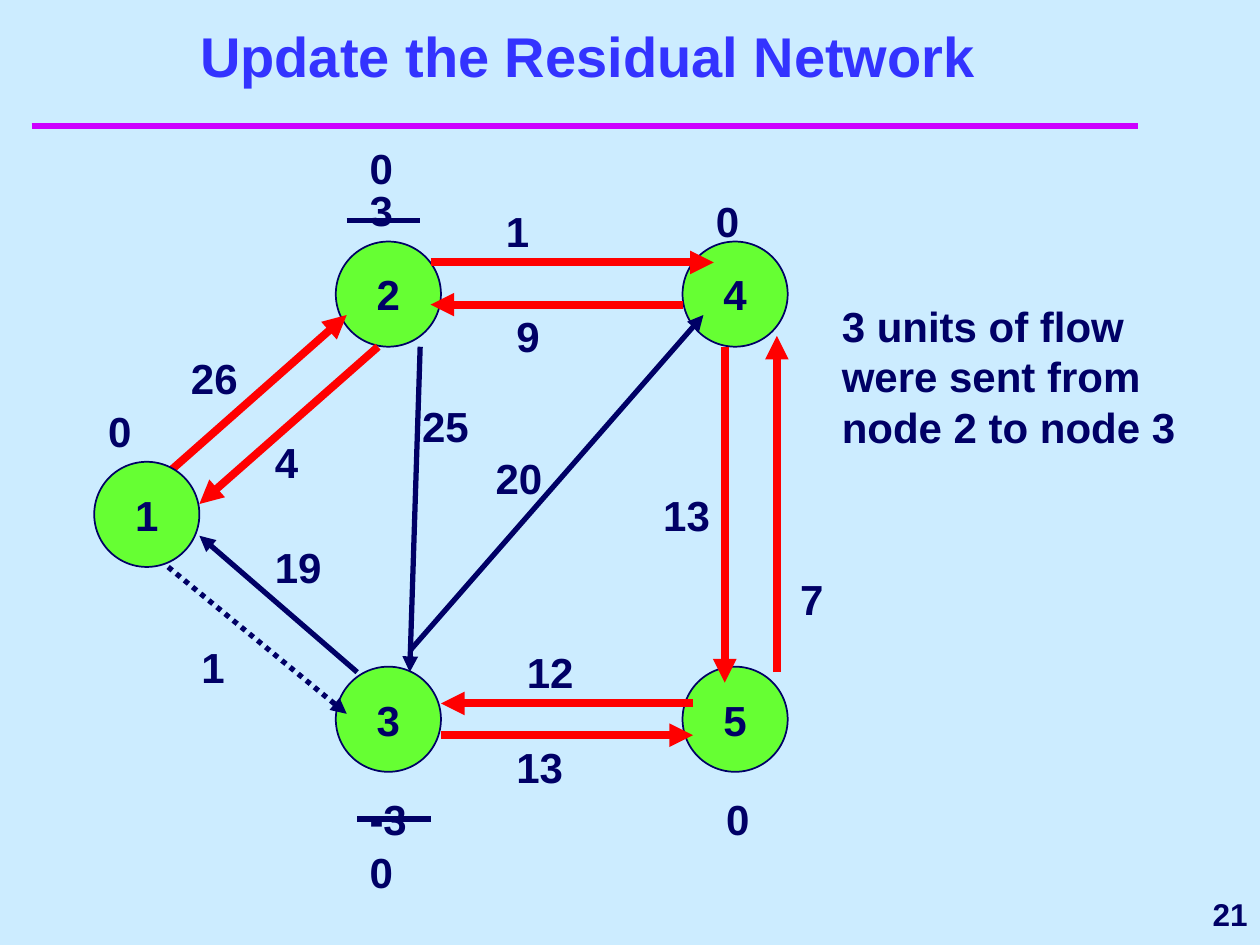
from lxml.etree import SubElement
from pptx import Presentation
from pptx.dml.color import RGBColor
from pptx.enum.dml import MSO_LINE
from pptx.enum.shapes import MSO_CONNECTOR, MSO_SHAPE
from pptx.enum.text import MSO_ANCHOR, PP_ALIGN
from pptx.oxml.ns import qn
from pptx.util import Cm, Pt

SKY = RGBColor(0xCC, 0xEC, 0xFF)
NAVY = RGBColor(0x00, 0x00, 0x66)
BLUE = RGBColor(0x33, 0x33, 0xFF)
PURPLE = RGBColor(0xCC, 0x00, 0xFF)
GREEN = RGBColor(0x66, 0xFF, 0x33)
RED = RGBColor(0xFF, 0x00, 0x00)

NODE_SIZE = 2.12
SOURCE_NODE = ("1", 1.9, 9.31)
OTHER_NODES = [
    ("2", 6.77, 4.87),
    ("3", 6.77, 13.44),
    ("4", 13.76, 4.87),
    ("5", 13.76, 13.44),
]

CHANGED_ARCS = [
    ((3.39, 9.53), (6.99, 6.35)),
    ((7.62, 6.99), (4.02, 10.16)),
    ((8.68, 5.29), (14.39, 5.29)),
    ((13.76, 6.14), (8.68, 6.14)),
    ((14.61, 6.99), (14.61, 13.76)),
    ((15.66, 13.55), (15.66, 6.77)),
    ((8.89, 14.82), (13.97, 14.82)),
    ((13.97, 14.18), (8.89, 14.18)),
]
PLAIN_ARCS = [
    ((8.26, 13.12), (14.18, 6.35)),
    ((8.47, 6.99), (8.26, 13.55)),
    ((7.2, 13.55), (4.02, 10.8)),
]
DOTTED_ARC = ((3.39, 11.43), (6.99, 14.39))
STRIKES = [((6.99, 4.45), (8.47, 4.45)), ((7.2, 16.51), (8.68, 16.51))]

CAPACITIES = [
    ("26", 3.6, 6.99),
    ("4", 5.29, 8.68),
    ("1", 9.95, 4.02),
    ("9", 10.16, 6.14),
    ("25", 8.26, 7.94),
    ("20", 9.74, 9),
    ("13", 13.12, 9.74),
    ("7", 15.88, 11.43),
    ("19", 5.29, 10.8),
    ("1", 3.81, 12.81),
    ("12", 10.37, 12.91),
    ("13", 10.16, 14.82),
]
EXCESSES = [
    ("0", 1.93, 8.04),
    ("3", 7.2, 3.6),
    ("0", 7.2, 2.75),
    ("-3", 7.2, 15.88),
    ("0", 7.2, 16.93),
    ("0", 14.18, 3.81),
    ("0", 14.39, 15.88),
]


def write(shape, text, size=24, color=NAVY, align=PP_ALIGN.LEFT, anchor=MSO_ANCHOR.TOP):
    """Put one bold paragraph into a shape."""
    frame = shape.text_frame
    frame.word_wrap = True
    frame.vertical_anchor = anchor
    paragraph = frame.paragraphs[0]
    paragraph.text = text
    paragraph.alignment = align
    paragraph.font.name = "Arial"
    paragraph.font.size = Pt(size)
    paragraph.font.bold = True
    paragraph.font.color.rgb = color


def add_text(page, text, left, top, width=2.5, height=1.27, **style):
    """Add a text box measured in centimetres."""
    box = page.shapes.add_textbox(Cm(left), Cm(top), Cm(width), Cm(height))
    write(box, text, **style)


def add_node(page, name, left, top):
    """Add a numbered circle of the network."""
    node = page.shapes.add_shape(
        MSO_SHAPE.OVAL, Cm(left), Cm(top), Cm(NODE_SIZE), Cm(NODE_SIZE)
    )
    node.shadow.inherit = False
    node.fill.solid()
    node.fill.fore_color.rgb = GREEN
    node.line.color.rgb = NAVY
    node.line.width = Pt(1)
    write(node, name, align=PP_ALIGN.CENTER, anchor=MSO_ANCHOR.MIDDLE)


def add_line(page, start, end, color=NAVY, width=3):
    """Add a straight line without a shadow."""
    ends = [Cm(value) for value in (*start, *end)]
    line = page.shapes.add_connector(MSO_CONNECTOR.STRAIGHT, *ends)
    line.line.color.rgb = color
    line.line.width = Pt(width)
    SubElement(line._element.spPr, qn("a:effectLst"))
    return line


def add_arc(page, start, end, color=NAVY, width=3, dash=None):
    """Add a line that ends in an arrowhead."""
    arc = add_line(page, start, end, color, width)
    if dash:
        arc.line.dash_style = dash
    SubElement(arc.line._get_or_add_ln(), qn("a:tailEnd"), type="triangle")


def main():
    """Build the residual network slide."""
    deck = Presentation()
    deck.slide_width, deck.slide_height = Cm(25.4), Cm(19.05)
    page = deck.slides.add_slide(deck.slide_layouts[6])
    page.background.fill.solid()
    page.background.fill.fore_color.rgb = SKY

    add_line(page, (0.64, 2.54), (22.94, 2.54), PURPLE, 4)
    add_text(page, "Update the Residual Network", 1.06, 0.85, 21.59, 1.06,
             size=32, color=BLUE, align=PP_ALIGN.CENTER, anchor=MSO_ANCHOR.BOTTOM)

    for node in OTHER_NODES:
        add_node(page, *node)
    for start, end in CHANGED_ARCS:
        add_arc(page, start, end, RED, 4.5)
    for start, end in PLAIN_ARCS:
        add_arc(page, start, end)
    add_arc(page, *DOTTED_ARC, dash=MSO_LINE.ROUND_DOT)
    add_node(page, *SOURCE_NODE)

    for label in CAPACITIES + EXCESSES:
        add_text(page, *label)
    for start, end in STRIKES:
        add_line(page, start, end)

    add_text(page, "3 units of flow were sent from node 2 to node 3",
             16.72, 5.93, 7.41, 3.3)
    add_text(page, "21", 20.53, 17.78, 4.87, 1.27,
             size=18, align=PP_ALIGN.RIGHT, anchor=MSO_ANCHOR.MIDDLE)
    deck.save("out.pptx")


if __name__ == "__main__":
    main()
